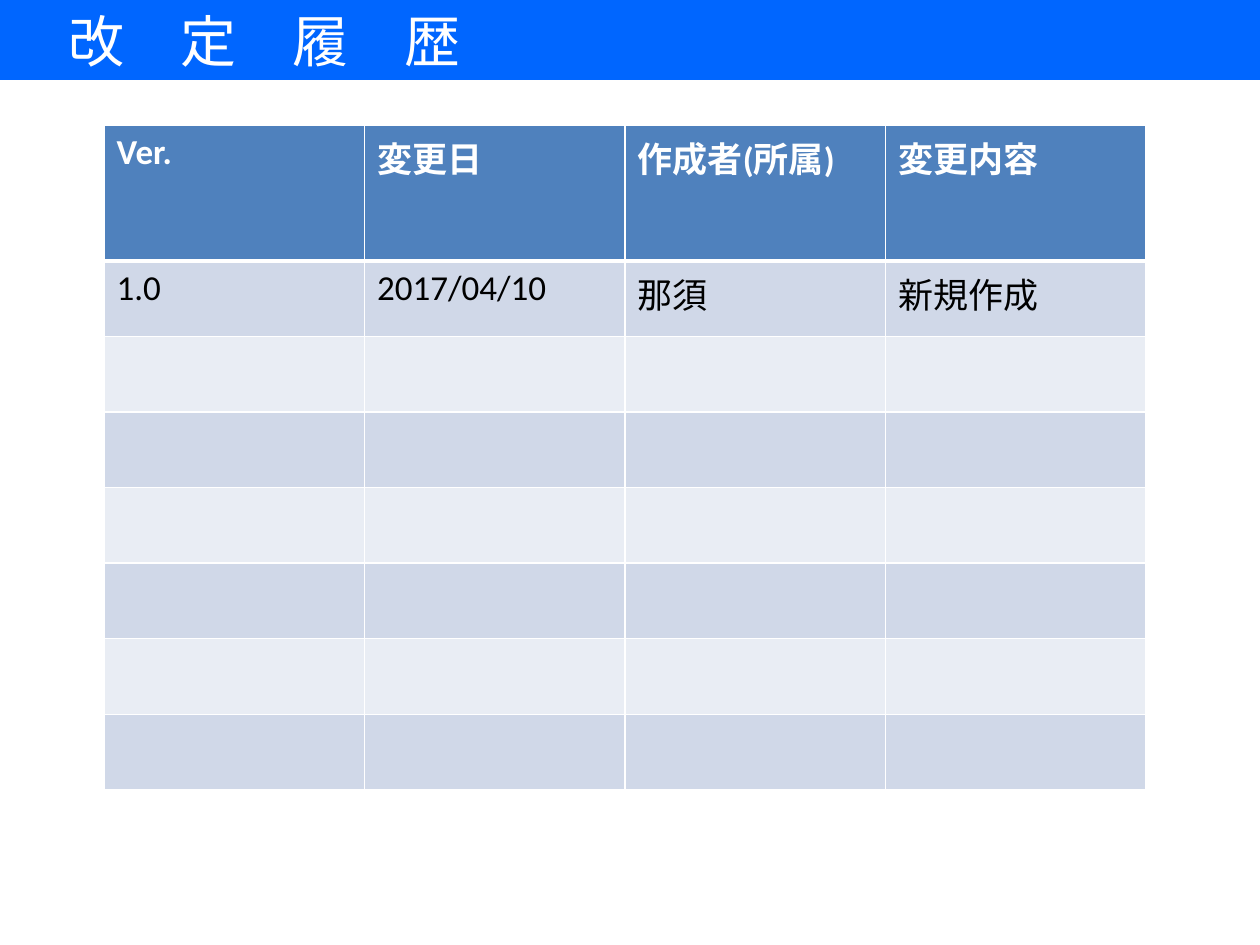
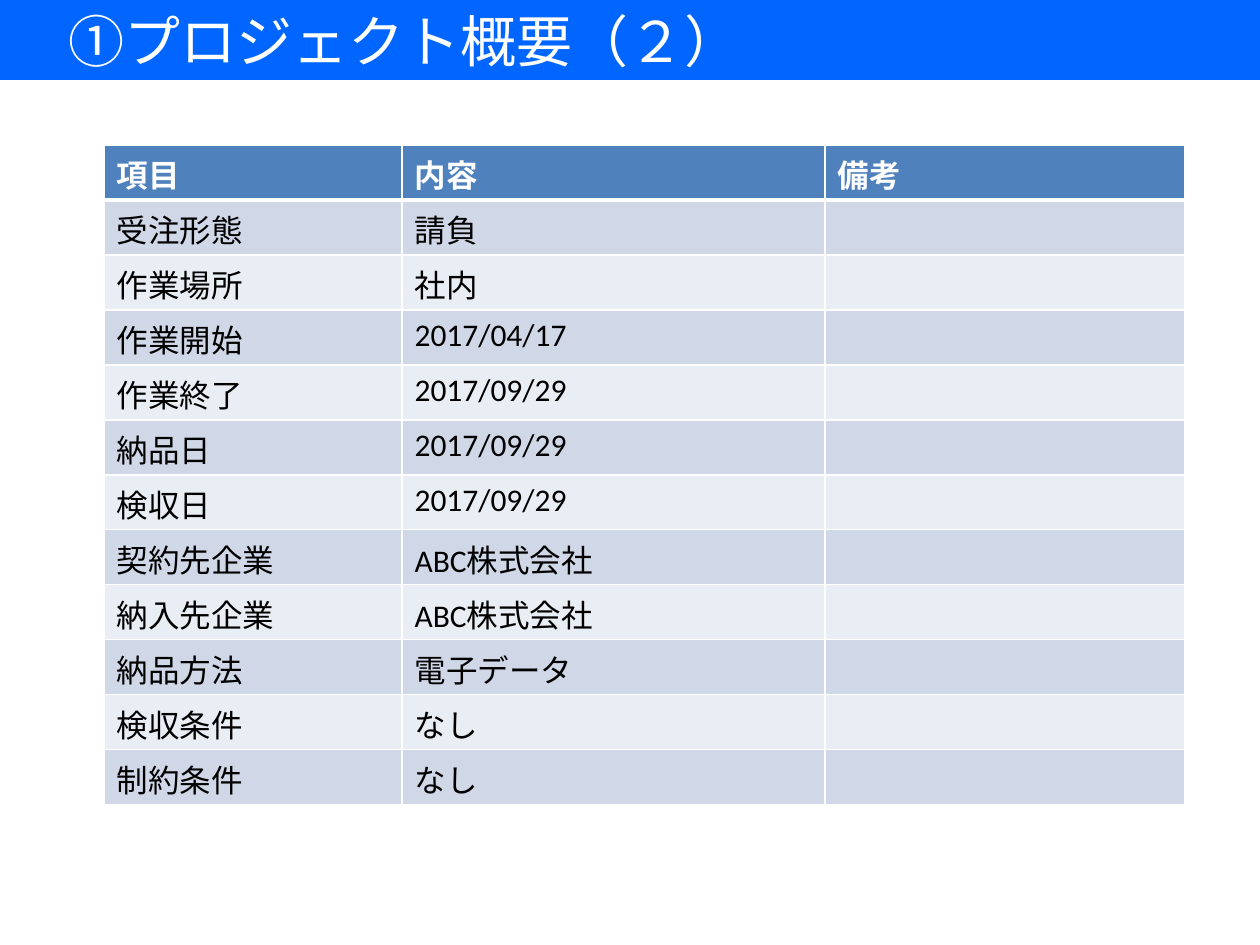
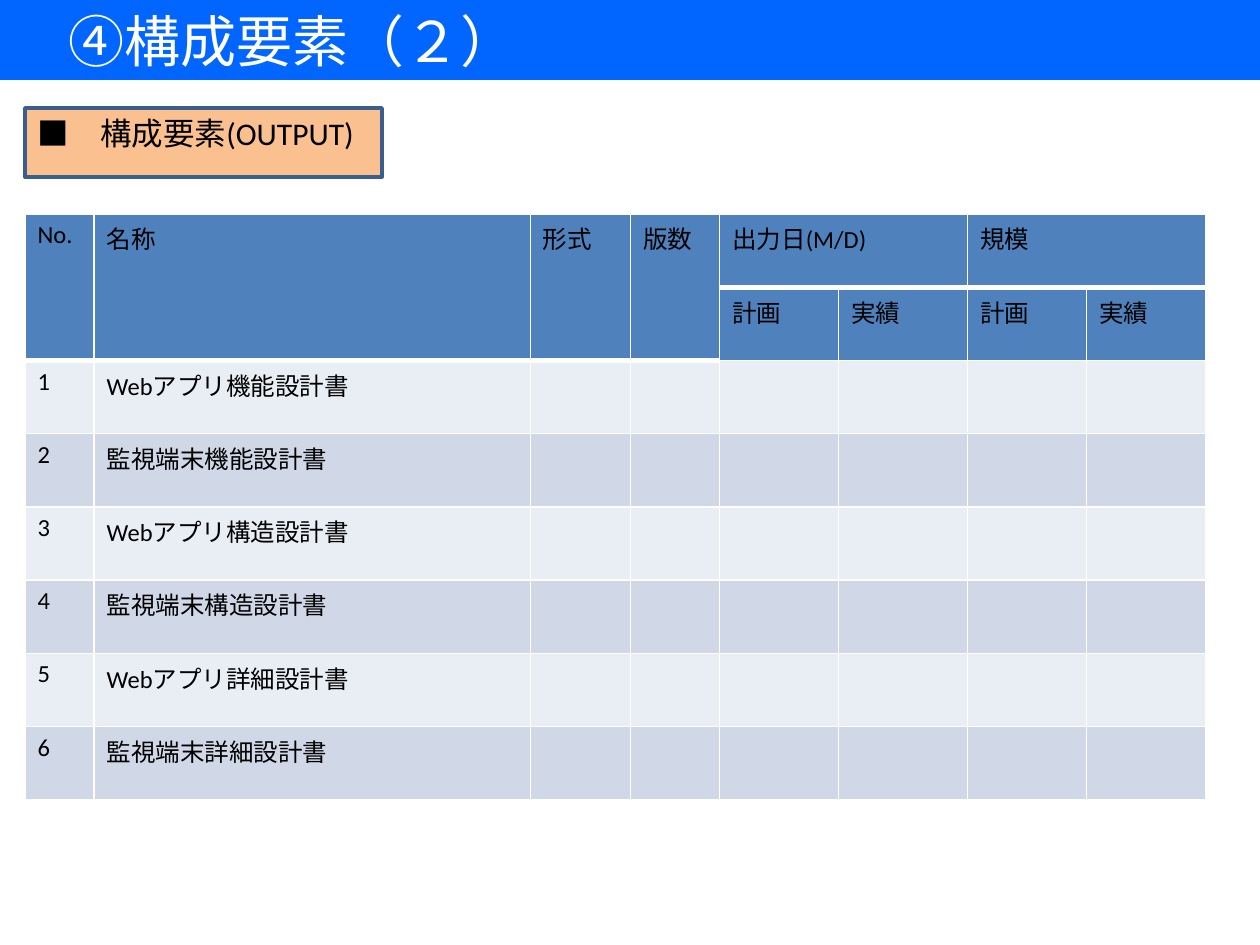
from dataclasses import dataclass

from lxml.etree import SubElement as Sub
from pptx import Presentation
from pptx.dml.color import RGBColor as Rgb
from pptx.enum.lang import MSO_LANGUAGE_ID as Lang
from pptx.enum.shapes import MSO_SHAPE as Kind
from pptx.enum.text import MSO_ANCHOR as Anchor, MSO_AUTO_SIZE as Fit, PP_ALIGN as Align
from pptx.oxml.ns import qn
from pptx.util import Pt

SCALE = 914400 / 126


@dataclass(frozen=True)
class Theme:
    band: str = "0066FF"
    head: str = "4F81BD"
    odd: str = "D0D8E8"
    even: str = "E9EDF4"
    label: str = "FAC090"
    edge: str = "3A5F8C"
    white: str = "FFFFFF"
    black: str = "000000"
    serif: str = "Times New Roman"
    sans: str = "Calibri"
    title: int = 32
    large: int = 20
    body: int = 18
    small: int = 14
    thin: int = 1
    thick: int = 3


T = Theme()


def px(size):
    return round(size * SCALE)


def paint(fill, color):
    fill.solid()
    fill.fore_color.rgb = Rgb.from_string(color)


def write(frame, text, size=T.body, color=T.black, bold=False, face=T.sans):
    para = frame.paragraphs[0]
    para.alignment = Align.LEFT
    run = para.add_run()
    run.text = text
    font = run.font
    font.name, font.size, font.bold = face, Pt(size), bold
    font.color.rgb = Rgb.from_string(color)
    font.language_id = Lang.JAPANESE


def add_page(deck, title):
    page = deck.slides.add_slide(deck.slide_layouts[5])
    bar = page.shapes.title
    bar.left, bar.top, bar.width, bar.height = 0, 0, deck.slide_width, px(80)
    paint(bar.fill, T.band)
    frame = bar.text_frame
    frame.auto_size, frame.word_wrap = Fit.NONE, True
    frame.vertical_anchor = Anchor.MIDDLE
    frame.margin_left, frame.margin_top, frame.margin_bottom = px(68), 0, 0
    write(frame, title, size=T.title, color=T.white, face=T.serif)
    return page


def add_label(page, box, text):
    shape = page.shapes.add_shape(Kind.RECTANGLE, *map(px, box))
    shape.shadow.inherit = False
    paint(shape.fill, T.label)
    paint(shape.line.fill, T.edge)
    shape.line.width = Pt(2)
    frame = shape.text_frame
    frame.word_wrap, frame.vertical_anchor = True, Anchor.TOP
    write(frame, text)


def rule(cell, row):
    props = cell._tc.get_or_add_tcPr()
    heavy = {"T": row == 1, "B": row == 0}
    for side in "LRTB":
        width = T.thick if heavy.get(side) else T.thin
        line = Sub(props, qn(f"a:ln{side}"), w=str(Pt(width)))
        Sub(Sub(line, qn("a:solidFill")), qn("a:srgbClr"), val=T.white)


def add_grid(page, box, cols, rows, first=None, heads=1, spans=(), size=T.body,
             ink=T.white, bold=True):
    count = len(rows)
    high = box[3]
    first = first or high / count
    grid = page.shapes.add_table(count, len(cols), *map(px, box)).table
    for col, part in zip(grid.columns, cols):
        col.width = px(box[2] * part / sum(cols))
    for r, words in enumerate(rows):
        grid.rows[r].height = px((high - first) / (count - 1) if r else first)
        top = r < heads
        for c in range(len(cols)):
            cell = grid.cell(r, c)
            cell.margin_bottom = px(1)
            rule(cell, r)
            paint(cell.fill, T.head if top else T.odd if r % 2 else T.even)
            if c < len(words) and words[c]:
                write(cell.text_frame, words[c], size=size,
                      color=ink if top else T.black, bold=bold and top)
    for start, end in spans:
        grid.cell(*start).merge(grid.cell(*end))


def add_log(deck):
    page = add_page(deck, "改　定　履　歴")
    rows = [("Ver.", "変更日", "作成者(所属)", "変更内容"),
            ("1.0", "2017/04/10", "那須", "新規作成")] + [()] * 6
    add_grid(page, (104, 125, 1042, 665), [1] * 4, rows, first=136, size=T.large)


def add_scope(deck):
    page = add_page(deck, "①プロジェクト概要（２）")
    rows = [("項目", "内容", "備考"),
            ("受注形態", "請負"),
            ("作業場所", "社内"),
            ("作業開始", "2017/04/17"),
            ("作業終了", "2017/09/29"),
            ("納品日", "2017/09/29"),
            ("検収日", "2017/09/29"),
            ("契約先企業", "ABC株式会社"),
            ("納入先企業", "ABC株式会社"),
            ("納品方法", "電子データ"),
            ("検収条件", "なし"),
            ("制約条件", "なし")]
    add_grid(page, (104, 145, 1081, 660), [298, 423, 360], rows)


def add_parts(deck):
    page = add_page(deck, "④構成要素（２）")
    add_label(page, (25, 108, 357, 69), "■　構成要素(OUTPUT)")
    names = [f"{item}{stage}設計書" for stage in ("機能", "構造", "詳細")
             for item in ("Webアプリ", "監視端末")]
    rows = [("No.", "名称", "形式", "版数", "出力日(M/D)", "", "規模"),
            ("",) * 4 + ("計画", "実績") * 2]
    rows += [(str(n), name) for n, name in enumerate(names, 1)]
    spans = [((0, c), (1, c)) for c in range(4)]
    spans += [((0, c), (0, c + 1)) for c in (4, 6)]
    add_grid(page, (25, 214, 1181, 586), [69, 436, 100, 89, 119, 129, 119, 119],
             rows, heads=2, spans=spans, size=T.small, ink=T.black, bold=False)


def main():
    deck = Presentation()
    deck.slide_width, deck.slide_height = px(1260), px(945)
    for build in (add_log, add_scope, add_parts):
        build(deck)
    deck.save("out.pptx")


if __name__ == "__main__":
    main()
